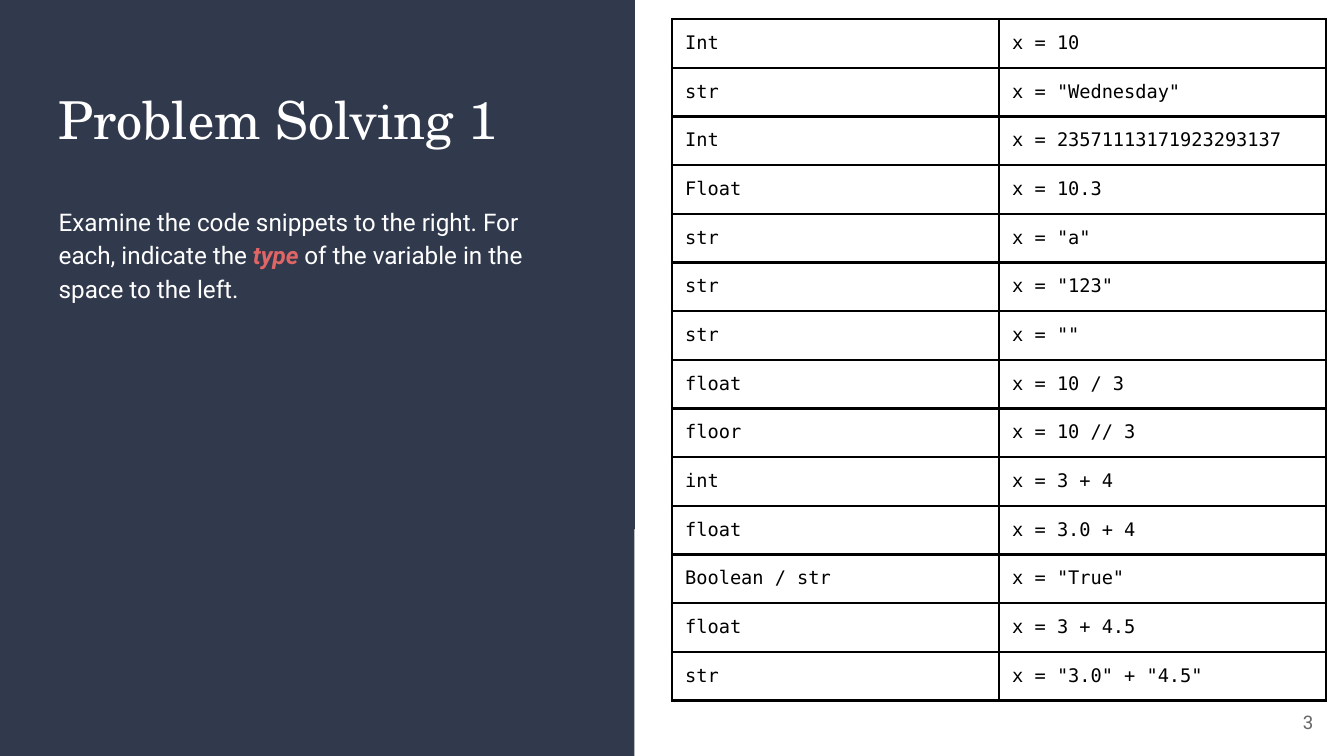
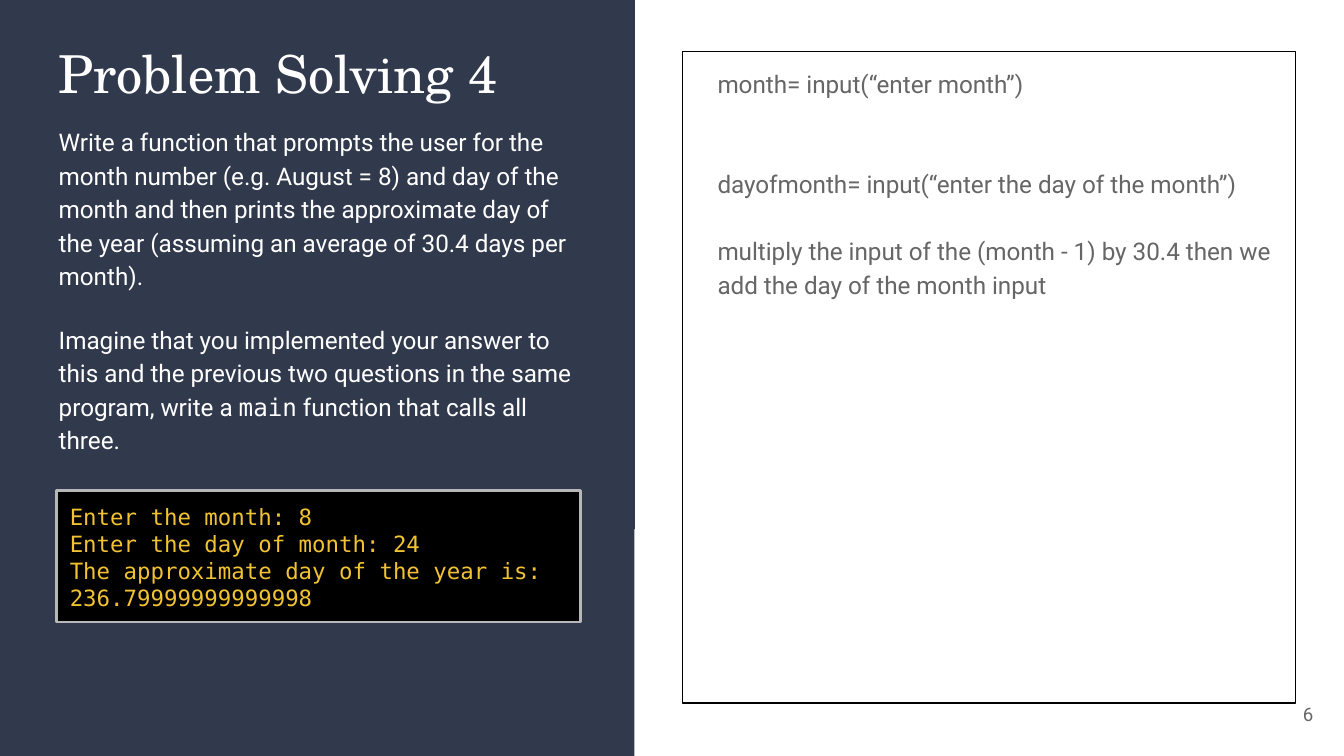
from lxml import etree
from pptx import Presentation, util as u
from pptx.dml import color
from pptx.enum import shapes, text
from pptx.oxml import ns

NAVY, WHITE, BLACK, GREY = "31394D", "FFFFFF", "000000", "666666"
RED, GOLD, SILVER = "E06666", "F1C232", "B7B7B7"
SERIF, SANS, MONO = "TeX Gyre Schola", "Roboto", "DejaVu Sans Mono"
WIDTH, HEIGHT, BAND_W = 25.4, 14.29, 11.99
INSET = 0.25

SNIPPETS = [
    ("Int", "x = 10"),
    ("str", 'x = "Wednesday"'),
    ("Int", "x = 23571113171923293137"),
    ("Float", "x = 10.3"),
    ("str", 'x = "a"'),
    ("str", 'x = "123"'),
    ("str", 'x = ""'),
    ("float", "x = 10 / 3"),
    ("floor", "x = 10 // 3"),
    ("int", "x = 3 + 4"),
    ("float", "x = 3.0 + 4"),
    ("Boolean / str", 'x = "True"'),
    ("float", "x = 3 + 4.5"),
    ("str", 'x = "3.0" + "4.5"'),
]


def rgb(value):
    return color.RGBColor.from_string(value)


def cm(box):
    return [u.Cm(v) for v in box]


def place(sp, box):
    sp.left, sp.top, sp.width, sp.height = cm(box)


def paint(sp, fill=None, line=None, width=0.75):
    sp.shadow.inherit = False
    if fill:
        sp.fill.solid()
        sp.fill.fore_color.rgb = rgb(fill)
    else:
        sp.fill.background()
    if line:
        sp.line.color.rgb = rgb(line)
        sp.line.width = u.Pt(width)
    else:
        sp.line.fill.background()


def format_runs(p, font, size, hue):
    for r in p.runs:
        r.font.name, r.font.size = font, u.Pt(size)
        r.font.color.rgb = rgb(hue)


def write(tf, paragraphs, font, size, hue, spacing=1.0, indent=0,
          anchor=text.MSO_ANCHOR.TOP, align=text.PP_ALIGN.LEFT):
    tf.word_wrap = True
    tf.auto_size = text.MSO_AUTO_SIZE.NONE
    tf.vertical_anchor = anchor
    tf.margin_left = tf.margin_right = tf.margin_top = tf.margin_bottom = u.Cm(INSET)
    for i, parts in enumerate(paragraphs):
        p = tf.paragraphs[0] if i == 0 else tf.add_paragraph()
        for part in parts:
            p.add_run().text = part
        format_runs(p, font, size, hue)
        p.alignment, p.line_spacing = align, spacing
        p.space_before = p.space_after = u.Pt(0)
        pPr = p._p.get_or_add_pPr()
        pPr.set("marL", str(u.Cm(indent)))
        pPr.set("indent", "0")
        etree.SubElement(pPr, ns.qn("a:buNone"))
    return tf.paragraphs


def add_band(prs, s):
    fb = s.shapes.build_freeform(0, 0, scale=u.Cm(1))
    fb.add_line_segments([(BAND_W, 0), (BAND_W, 9.75), (0, 13.56)])
    slant = fb.convert_to_shape()
    panel = s.shapes.add_shape(shapes.MSO_SHAPE.RECTANGLE, *cm((0, 0, BAND_W, HEIGHT)))
    for i, sp in enumerate((slant, panel)):
        paint(sp, NAVY)
        sp.element.nvSpPr.cNvPr.set("id", str(20 + i))
        prs.slide_master.shapes.element.insert(2 + i, sp.element)


def add_title(s, title, top):
    sp = s.shapes.title
    place(sp, (0.86, top, 10.29, 1.78))
    write(sp.text_frame, [[title]], SERIF, 28, WHITE)


def add_question(s, idx, paragraphs, top, height):
    sp = s.placeholders[idx]
    place(sp, (0.86, top, 10.29, height))
    return write(sp.text_frame, paragraphs, SANS, 13, WHITE, 1.15)


def add_page_number(s, number, top):
    sp = s.shapes.add_textbox(*cm((23.55, top, 1.52, 1.09)))
    write(sp.text_frame, [[number]], SANS, 10, GREY,
          anchor=text.MSO_ANCHOR.MIDDLE, align=text.PP_ALIGN.RIGHT)


def add_borders(cell):
    tcPr = cell._tc.get_or_add_tcPr()
    for i, side in enumerate(("lnL", "lnR", "lnT", "lnB")):
        ln = etree.Element(ns.qn("a:" + side), w=str(u.Pt(1.5)))
        fill = etree.SubElement(ln, ns.qn("a:solidFill"))
        etree.SubElement(fill, ns.qn("a:srgbClr"), val=BLACK)
        tcPr.insert(i, ln)


def add_snippet_table(s, rows, box):
    table = s.shapes.add_table(len(rows), 2, *cm(box)).table
    table.first_row = table.horz_banding = False
    for col in table.columns:
        col.width = u.Cm(box[2] / 2)
    for row, values in zip(table.rows, rows):
        row.height = u.Cm(box[3] / len(rows))
        for cell, value in zip(row.cells, values):
            cell.text = value
            format_runs(cell.text_frame.paragraphs[0], MONO, 10, BLACK)
            cell.margin_left = cell.margin_right = u.Cm(INSET)
            cell.margin_top = cell.margin_bottom = u.Cm(INSET)
            cell.fill.background()
            add_borders(cell)


def add_answer(s, idx, box):
    sp = s.placeholders[idx]
    place(sp, box)
    sp.fill.background()
    sp.line.color.rgb = rgb(BLACK)
    sp.line.width = u.Pt(0.75)
    lines = [
        ["month= input(“enter month”)"],
        ["dayofmonth= input(“enter the day of the month”)"],
        ["multiply the input of the (month - 1) by 30.4 then we add the day of the month input"],
    ]
    ps = write(sp.text_frame, lines, SANS, 13, GREY, 1.15, indent=0.41)
    ps[1].space_before, ps[2].space_before = u.Pt(36), u.Pt(18)


def add_console(s, box):
    sp = s.shapes.add_shape(shapes.MSO_SHAPE.RECTANGLE, *cm(box))
    paint(sp, BLACK, SILVER, 1.5)
    write(sp.text_frame, [
        ["Enter the month: 8"],
        ["Enter the day of month: 24"],
        ["The approximate day of the year is: 236.79999999999998"],
    ], MONO, 12, GOLD)


def types_slide(s):
    add_title(s, "Problem Solving 1", 1.4)
    ps = add_question(s, 1, [[
        "Examine the code snippets to the right. For each, indicate the ",
        "type ",
        "of the variable in the space to the left.",
    ]], 3.58, 7.49)
    keyword = ps[0].runs[1].font
    keyword.bold = keyword.italic = True
    keyword.color.rgb = rgb(RED)
    add_page_number(s, "3", 13.11)
    add_snippet_table(s, SNIPPETS, (12.7, 0.36, 12.36, 12.88))


def function_slide(s):
    add_title(s, "Problem Solving 4", 0.53)
    add_answer(s, 2, (12.9, 0.97, 11.58, 12.32))
    add_page_number(s, "6", 12.95)
    ps = add_question(s, 1, [
        ["Write a function that prompts the user for the month number (e.g. August = 8) "
         "and day of the month and then prints the approximate day of the year "
         "(assuming an average of 30.4 days per month)."],
        ["Imagine that you implemented your answer to this and the previous two questions "
         "in the same program, write a ", "main", " function that calls all three."],
    ], 2.08, 6.55)
    ps[1].space_before = u.Pt(16)
    ps[1].runs[1].font.name = MONO
    add_console(s, (1.07, 9.27, 9.91, 2.49))


def main():
    prs = Presentation()
    prs.slide_width, prs.slide_height = cm((WIDTH, HEIGHT))
    first = prs.slides.add_slide(prs.slide_layouts[1])
    add_band(prs, first)
    types_slide(first)
    function_slide(prs.slides.add_slide(prs.slide_layouts[3]))
    prs.save("out.pptx")


if __name__ == "__main__":
    main()
